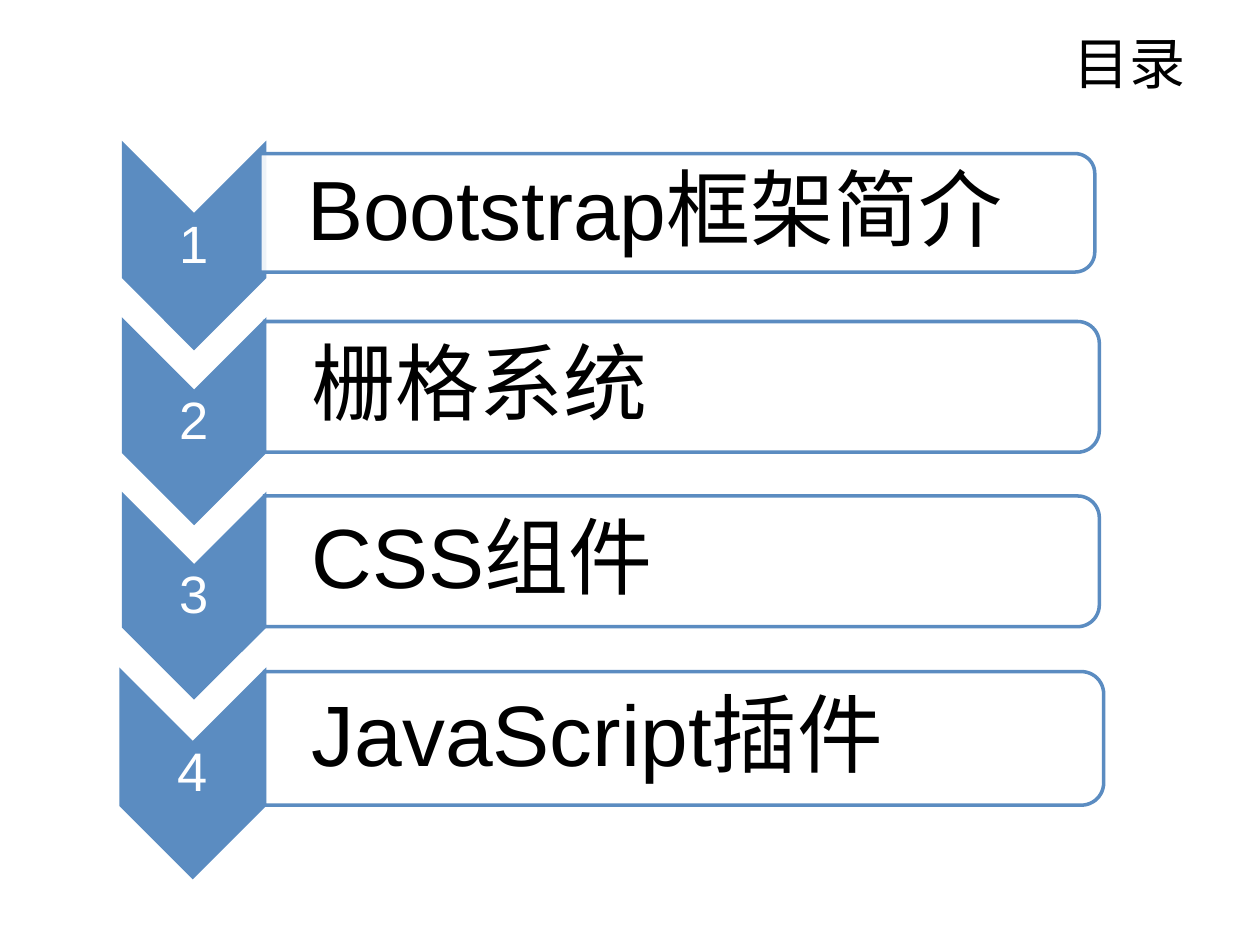
from dataclasses import dataclass
from math import cos, pi, sin

from lxml.etree import SubElement
from pptx import Presentation
from pptx.dml.color import RGBColor
from pptx.enum.text import MSO_ANCHOR, MSO_AUTO_SIZE, PP_ALIGN
from pptx.oxml.ns import qn
from pptx.util import Pt


@dataclass(frozen=True)
class Theme:
    font: str = "Arial"
    ink: RGBColor = RGBColor(0x00, 0x00, 0x00)
    paper: RGBColor = RGBColor(0xFF, 0xFF, 0xFF)
    accent: RGBColor = RGBColor(0x5B, 0x8C, 0xC1)
    title_size: float = 32
    number_size: float = 30
    entry_size: float = 48
    outline: float = 2
    panel_opacity: int = 90


@dataclass(frozen=True)
class Box:
    left: float
    top: float
    width: float
    height: float

    @property
    def right(self):
        return self.left + self.width

    @property
    def bottom(self):
        return self.top + self.height


def write_text(frame, text, *, font, size, color, align=PP_ALIGN.LEFT,
               insets=None, line_spacing=None, space_after=None):
    """Fill a text frame; insets are left, top, right, bottom in points."""
    frame.word_wrap = True
    frame.auto_size = MSO_AUTO_SIZE.NONE
    frame.vertical_anchor = MSO_ANCHOR.MIDDLE
    if insets:
        (frame.margin_left, frame.margin_top,
         frame.margin_right, frame.margin_bottom) = map(Pt, insets)
    para = frame.paragraphs[0]
    para.alignment = align
    if line_spacing:
        para.line_spacing = line_spacing
    if space_after:
        para.space_after = Pt(space_after)
    span = para.add_run()
    span.text = text
    span.font.name = font
    span.font.size = Pt(size)
    span.font.color.rgb = color


class ContentsPage:
    def __init__(self, deck, theme):
        self.theme = theme
        self.page = deck.slides.add_slide(deck.slide_layouts[5])

    def title(self, text, box):
        holder = self.page.shapes.title
        holder.left, holder.top = Pt(box.left), Pt(box.top)
        holder.width, holder.height = Pt(box.width), Pt(box.height)
        write_text(holder.text_frame, text, font=self.theme.font,
                   size=self.theme.title_size, color=self.theme.ink,
                   align=PP_ALIGN.RIGHT)

    def outline(self, points, fill, opacity=100):
        """Draw a closed outline with sharp joins through points."""
        start, *rest = [(Pt(x), Pt(y)) for x, y in points]
        builder = self.page.shapes.build_freeform(*start)
        builder.add_line_segments(rest, close=True)
        shape = builder.convert_to_shape()
        shape.shadow.inherit = False
        shape.fill.solid()
        shape.fill.fore_color.rgb = fill
        shape.line.color.rgb = self.theme.accent
        shape.line.width = Pt(self.theme.outline)
        properties = shape._element.spPr
        SubElement(properties.find(qn("a:ln")), qn("a:miter"), lim="800000")
        if opacity < 100:
            color = properties.find(qn("a:solidFill")).find(qn("a:srgbClr"))
            SubElement(color, qn("a:alpha"), val=str(opacity * 1000))
        return shape

    def chevron(self, number, box, size):
        middle, depth = box.left + box.width / 2, box.width / 2
        shape = self.outline([
            (box.left, box.top), (middle, box.top + depth),
            (box.right, box.top), (box.right, box.bottom - depth),
            (middle, box.bottom), (box.left, box.bottom - depth),
        ], self.theme.accent)
        write_text(shape.text_frame, str(number), font=self.theme.font,
                   size=size, color=self.theme.paper, align=PP_ALIGN.CENTER,
                   insets=(1.5, 40, 1.5, 40), line_spacing=0.9, space_after=13)

    def panel(self, text, box, size):
        """Draw a panel whose two right corners are rounded."""
        radius = box.height / 6
        steps = 12
        angles = [step * pi / 2 / steps for step in range(steps + 1)]
        x = box.right - radius
        upper = [(x + radius * sin(a), box.top + radius * (1 - cos(a)))
                 for a in angles]
        lower = [(x + radius * cos(a), box.bottom - radius * (1 - sin(a)))
                 for a in angles]
        points = [(box.left, box.top), *upper, *lower, (box.left, box.bottom)]
        shape = self.outline(points, self.theme.paper, self.theme.panel_opacity)
        write_text(shape.text_frame, text, font=self.theme.font, size=size,
                   color=self.theme.ink, insets=(27, 6, 6, 6),
                   line_spacing=0.9, space_after=9)


def main():
    deck = Presentation()
    deck.slide_width, deck.slide_height = Pt(720), Pt(540)
    theme = Theme()
    contents = ContentsPage(deck, theme)
    contents.title("目录", Box(36.7, 13, 648, 45.4))

    # Text, chevron, panel, and how much larger the type is.
    entries = [
        ("Bootstrap框架简介", Box(70.6, 82.8, 80.6, 116), Box(148.6, 87.8, 477, 67.7), 0),
        ("栅格系统", Box(70.6, 183.7, 80.6, 115), Box(151.2, 183.7, 477, 74.7), 0),
        ("CSS组件", Box(70.6, 283.4, 80.6, 115), Box(151.2, 283.4, 477, 74.7), 0),
        ("JavaScript插件", Box(69.2, 383.8, 82, 117.3), Box(151.2, 383.8, 479.5, 76.3), 1),
    ]
    for number, (text, chevron, panel, extra) in enumerate(entries, start=1):
        contents.chevron(number, chevron, theme.number_size + extra)
        contents.panel(text, panel, theme.entry_size + extra)

    deck.save("out.pptx")


if __name__ == "__main__":
    main()
